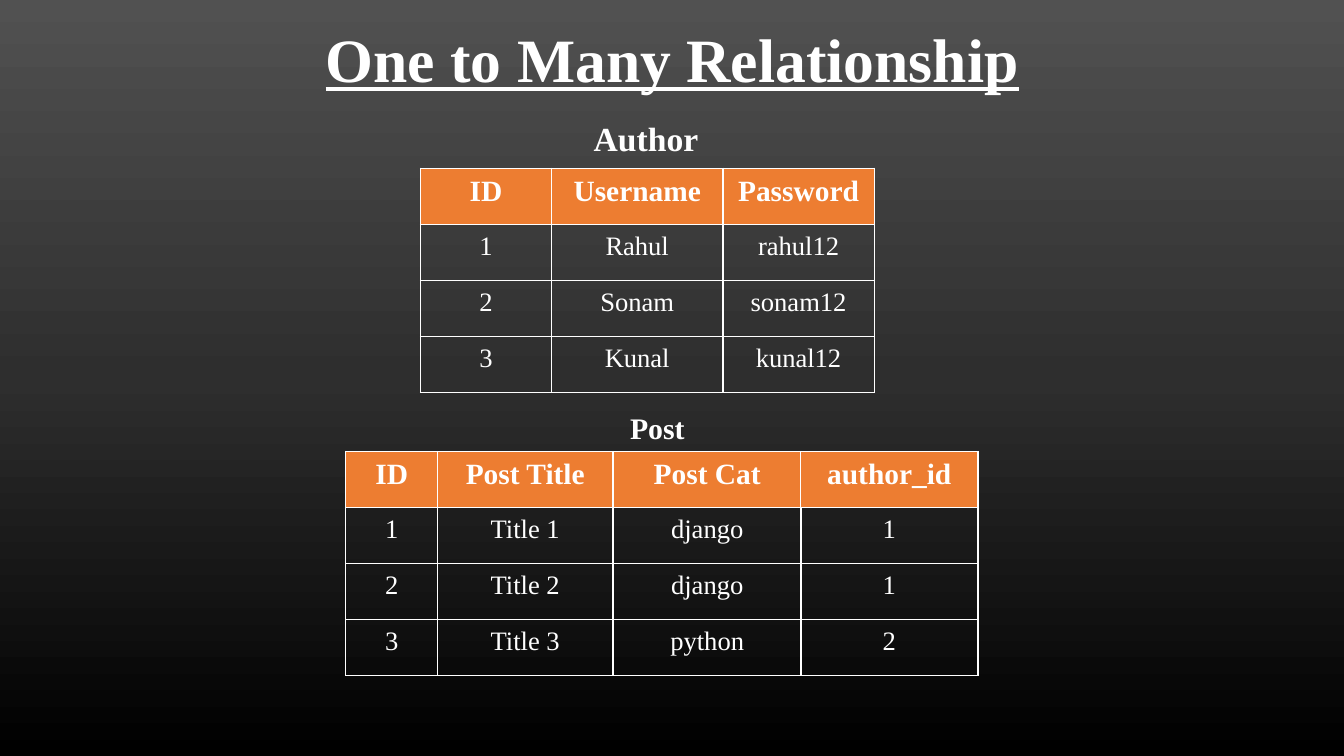
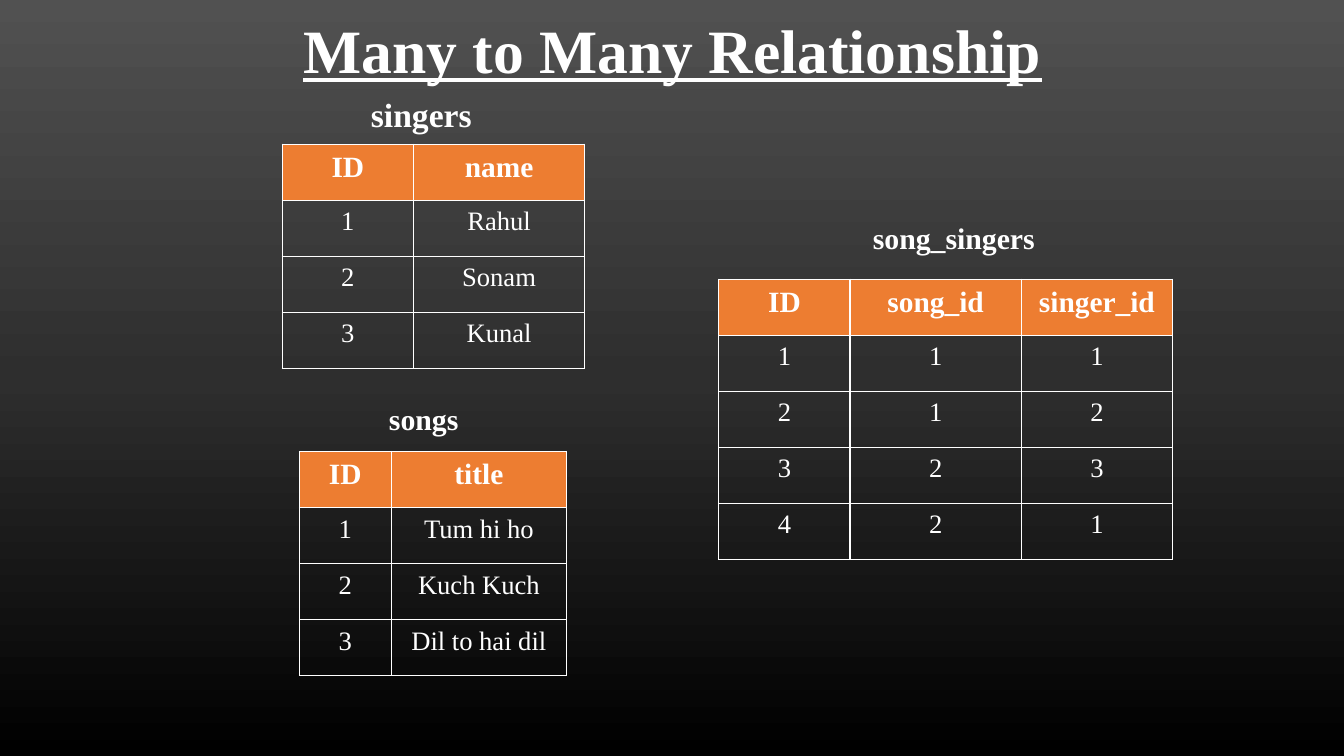
import copy

import pptx
import pptx.dml.color
import pptx.enum.text
import pptx.oxml
import pptx.oxml.ns
import pptx.util
from pptx.dml.color import RGBColor
from pptx.util import Inches

# Shared look
WHITE = RGBColor(0xFF, 0xFF, 0xFF)
ORANGE = RGBColor(0xED, 0x7D, 0x31)
BACKDROP = [
    (0, RGBColor(0x51, 0x51, 0x51)),
    (0.5, RGBColor(0x2E, 0x2E, 0x2E)),
    (1, RGBColor(0x00, 0x00, 0x00)),
]
BASE_FONT = {"name": "Times New Roman", "bold": True}
TITLE_FONT = {**BASE_FONT, "size": pptx.util.Pt(44), "underline": True}
LARGE_LABEL = {**BASE_FONT, "size": pptx.util.Pt(24)}
SMALL_LABEL = {**BASE_FONT, "size": pptx.util.Pt(21.3)}
HEADER_FONT = {**BASE_FONT, "size": pptx.util.Pt(21)}
BODY_FONT = {**BASE_FONT, "size": pptx.util.Pt(19), "bold": False}
CELL_FORMAT = {
    "margin_left": Inches(0.13),
    "margin_right": Inches(0.13),
    "margin_top": Inches(0.07),
    "margin_bottom": Inches(0.07),
}
TITLE_FRAME = {
    "word_wrap": True,
    "vertical_anchor": pptx.enum.text.MSO_ANCHOR.MIDDLE,
}
LABEL_FRAME = {
    "word_wrap": False,
    "auto_size": pptx.enum.text.MSO_AUTO_SIZE.SHAPE_TO_FIT_TEXT,
}
CENTER = pptx.enum.text.PP_ALIGN.CENTER
ROW_HEIGHT = Inches(5 / 9)
BORDER_WIDTH = pptx.util.Pt(1)


def apply_format(target, values):
    for key, value in values.items():
        setattr(target, key, value)


def write(frame, text, font):
    paragraph = frame.paragraphs[0]
    run = paragraph.add_run()
    run.text = text
    apply_format(run.font, font)
    run.font.color.rgb = WHITE
    return paragraph


def paint_backdrop(master):
    """Give every slide the same vertical gradient."""
    fill = master.background.fill
    fill.gradient()
    fill.gradient_angle = 270
    stop_list = master._element.find(".//" + pptx.oxml.ns.qn("a:gsLst"))
    stop_list.append(copy.deepcopy(stop_list[-1]))
    for stop, (position, color) in zip(fill.gradient_stops, BACKDROP):
        stop.position = position
        stop.color.rgb = color


def add_title(slide, text, top):
    title = slide.shapes.add_textbox(
        Inches(0.67), Inches(top), Inches(12), Inches(0.94))
    apply_format(title.text_frame, TITLE_FRAME)
    heading = write(title.text_frame, text, TITLE_FONT)
    apply_format(heading, {"alignment": CENTER, "line_spacing": 0.9})


def add_label(slide, text, left, top, width, font):
    label = slide.shapes.add_textbox(
        Inches(left), Inches(top), Inches(width), Inches(0.46))
    apply_format(label.text_frame, LABEL_FRAME)
    write(label.text_frame, text, font)


def add_borders(cell):
    properties = cell._tc.get_or_add_tcPr()
    for side in ("lnL", "lnR", "lnT", "lnB"):
        properties.append(pptx.oxml.parse_xml(
            f'<a:{side} {pptx.oxml.ns.nsdecls("a")} w="{BORDER_WIDTH}">'
            f'<a:solidFill><a:srgbClr val="{WHITE}"/></a:solidFill>'
            f'</a:{side}>'))


def add_records(slide, left, top, widths, rows):
    """Draw a database table; the first row holds the field names."""
    records = slide.shapes.add_table(
        len(rows), len(widths), Inches(left), Inches(top),
        Inches(sum(widths)), ROW_HEIGHT * len(rows)).table
    records.horz_banding = False
    for column, width in zip(records.columns, widths):
        column.width = Inches(width)
    for row_index, values in enumerate(rows):
        records.rows[row_index].height = ROW_HEIGHT
        is_header = row_index == 0
        for column_index, value in enumerate(values):
            cell = records.cell(row_index, column_index)
            apply_format(cell, CELL_FORMAT)
            add_borders(cell)
            if is_header:
                cell.fill.solid()
                cell.fill.fore_color.rgb = ORANGE
            else:
                cell.fill.background()
            font = HEADER_FONT if is_header else BODY_FONT
            write(cell.text_frame, value, font).alignment = CENTER


def add_entity(slide, left, top, widths, rows, label):
    """Place records with a label offset from their top left corner."""
    text, label_dx, label_dy, label_width, font = label
    add_records(slide, left, top, widths, rows)
    add_label(slide, text, left + label_dx, top + label_dy, label_width, font)


def build_one_to_many(slide):
    add_title(slide, "One to Many Relationship", 0.15)
    add_entity(slide, 4.17, 1.67, [1.3, 1.7, 1.5], [
        ["ID", "Username", "Password"],
        ["1", "Rahul", "rahul12"],
        ["2", "Sonam", "sonam12"],
        ["3", "Kunal", "kunal12"],
    ], ("Author", 1.62, -0.55, 1.25, LARGE_LABEL))
    add_entity(slide, 3.43, 4.48, [0.91, 1.74, 1.87], [
        ["ID", "Post Title", "Post Cat"],
        ["1", "Title 1", "django"],
        ["2", "Title 2", "django"],
        ["3", "Title 3", "python"],
    ], ("Post", 2.72, -0.46, 0.75, SMALL_LABEL))
    # Foreign key beside the posts
    add_records(slide, 7.94, 4.48, [1.76],
                [["author_id"], ["1"], ["1"], ["2"]])


def build_many_to_many(slide):
    add_title(slide, "Many to Many Relationship", 0.06)
    add_entity(slide, 2.8, 1.43, [1.3, 1.7], [
        ["ID", "name"],
        ["1", "Rahul"],
        ["2", "Sonam"],
        ["3", "Kunal"],
    ], ("singers", 0.78, -0.55, 1.21, LARGE_LABEL))
    add_entity(slide, 2.97, 4.48, [0.91, 1.74], [
        ["ID", "title"],
        ["1", "Tum hi ho"],
        ["2", "Kuch Kuch"],
        ["3", "Dil to hai dil"],
    ], ("songs", 0.79, -0.55, 0.9, SMALL_LABEL))
    # Join table
    add_entity(slide, 7.13, 2.77, [1.3, 1.7, 1.5], [
        ["ID", "song_id", "singer_id"],
        ["1", "1", "1"],
        ["2", "1", "2"],
        ["3", "2", "3"],
        ["4", "2", "1"],
    ], ("song_singers", 1.43, -0.64, 1.83, SMALL_LABEL))


def main():
    deck = pptx.Presentation()
    deck.slide_width = Inches(13.33)
    deck.slide_height = Inches(7.5)
    paint_backdrop(deck.slide_master)
    for build in (build_one_to_many, build_many_to_many):
        build(deck.slides.add_slide(deck.slide_layouts[6]))
    deck.save("out.pptx")


if __name__ == "__main__":
    main()
